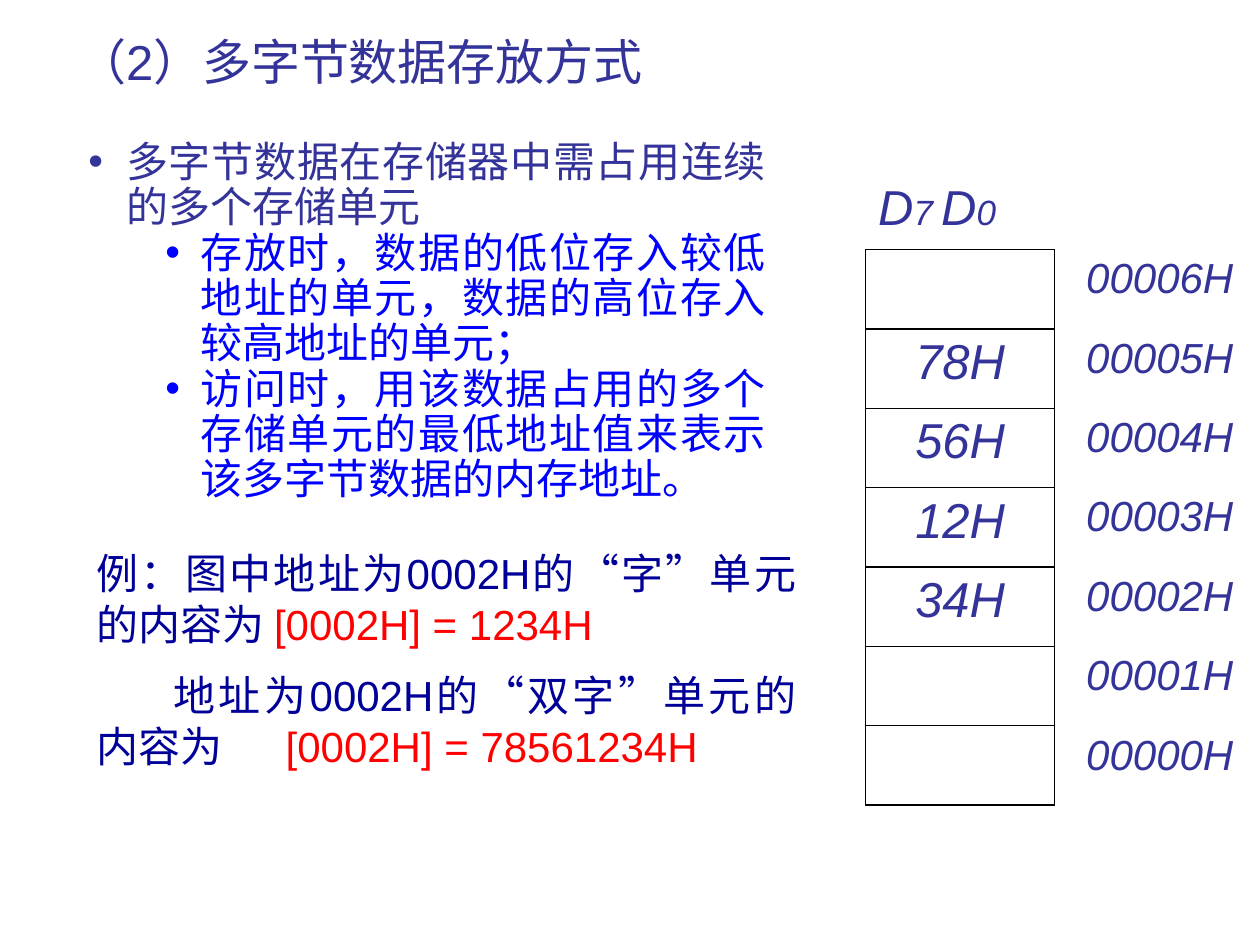
import dataclasses

import lxml.etree
import pptx
import pptx.dml.color
import pptx.enum.text
import pptx.oxml
import pptx.oxml.ns
import pptx.util

Cm = pptx.util.Cm
Pt = pptx.util.Pt
ALIGN = pptx.enum.text.PP_ALIGN
qn = pptx.oxml.ns.qn


@dataclasses.dataclass(frozen=True)
class Theme:
    latin: str = "Arial"
    chinese: str = "Noto Sans CJK SC"
    main: str = "333399"
    detail: str = "0000FF"
    example: str = "000099"
    result: str = "FF0000"
    border: str = "000000"
    large: int = 28
    normal: int = 24
    small: int = 20


theme = Theme()


def add_span(para, text, size, color, italic=False, latin=theme.latin):
    span = para.add_run()
    span.text = text
    span.font.size = Pt(size)
    span.font.bold = False
    span.font.italic = italic
    span.font.color.rgb = pptx.dml.color.RGBColor.from_string(color)
    span.font.name = latin
    east_asian = lxml.etree.SubElement(span.font._element, qn("a:ea"))
    east_asian.set("typeface", theme.chinese)


def add_layout(para, left=0, first=0, bullet=None, tab=None):
    props = para._p.get_or_add_pPr()
    props.set("marL", str(Cm(left)))
    props.set("indent", str(Cm(first)))
    if bullet:
        lxml.etree.SubElement(props, qn("a:buFont")).set("typeface", theme.latin)
        lxml.etree.SubElement(props, qn("a:buChar")).set("char", bullet)
    if tab:
        stops = lxml.etree.SubElement(props, qn("a:tabLst"))
        stop = lxml.etree.SubElement(stops, qn("a:tab"))
        stop.set("pos", str(Cm(tab)))
        stop.set("algn", "l")


deck = pptx.Presentation()
deck.slide_width, deck.slide_height = Cm(25.4), Cm(19.05)
page = deck.slides.add_slide(deck.slide_layouts[1])

# Title
title = page.shapes.title
title.left, title.top, title.width, title.height = Cm(1.3), Cm(0.53), Cm(22.86), Cm(1.4)
title.text_frame.vertical_anchor = pptx.enum.text.MSO_ANCHOR.MIDDLE
title.text_frame.auto_size = pptx.enum.text.MSO_AUTO_SIZE.NONE
para = title.text_frame.paragraphs[0]
para.alignment = ALIGN.LEFT
add_span(para, "（2）多字节数据存放方式", theme.large, theme.main)

# Bulleted rules
body = page.placeholders[1]
body.left, body.top, body.width, body.height = Cm(1.3), Cm(2.72), Cm(14.4), Cm(8.2)
body.text_frame.auto_size = pptx.enum.text.MSO_AUTO_SIZE.NONE
rules = [
    (0, "多字节数据在存储器中需占用连续的多个存储单元"),
    (1, "存放时，数据的低位存入较低地址的单元，数据的高位存入较高地址的单元；"),
    (1, "访问时，用该数据占用的多个存储单元的最低地址值来表示该多字节数据的内存地址。"),
]
levels = [
    (0.99, -0.76, theme.main, theme.latin),
    (2.49, -0.71, theme.detail, theme.chinese),
]
for index, (level, text) in enumerate(rules):
    para = body.text_frame.add_paragraph() if index else body.text_frame.paragraphs[0]
    left, first, color, latin = levels[level]
    para.level = level
    add_layout(para, left, first, bullet="•")
    para.alignment = ALIGN.JUSTIFY
    para.line_spacing = 0.9
    para.space_before = Pt(0)
    add_span(para, text, theme.normal, color, latin=latin)

# Worked examples
box = page.shapes.add_textbox(Cm(1.7), Cm(10.92), Cm(14.6), Cm(5.72))
box.text_frame.word_wrap = True
examples = [
    ("例：图中地址为0002H的“字”单元的内容为 ", "[0002H] = 1234H", 0, None),
    ("地址为0002H的“双字”单元的内容为\t", "[0002H] = 78561234H", 1.55, 3.51),
]
for index, (text, result, first, tab) in enumerate(examples):
    para = box.text_frame.add_paragraph() if index else box.text_frame.paragraphs[0]
    add_layout(para, first=first, tab=tab)
    para.alignment = ALIGN.JUSTIFY
    para.space_before = Pt(12 if index else 0)
    add_span(para, text, theme.normal, theme.example)
    add_span(para, result, theme.normal, theme.result)

# Memory table: contents on the left, addresses on the right
contents = ["", "78H", "56H", "12H", "34H", "", ""]
row_count = len(contents) + 1
frame = page.shapes.add_table(row_count, 2, Cm(17.45), Cm(3.53), Cm(8.05), Cm(12.7))
table = frame.table
table.first_row = table.horz_banding = False
table.columns[0].width, table.columns[1].width = Cm(3.81), Cm(4.24)
for index, row in enumerate(table.rows):
    row.height = Cm(1.6 if index else 1.5)

# Header with the bit numbers
para = table.cell(0, 0).text_frame.paragraphs[0]
add_layout(para, tab=1.95)
for text, size in [("D", theme.large), ("7", theme.small),
                   ("\tD", theme.large), ("0", theme.small)]:
    add_span(para, text, size, theme.main, italic=True)

# Stored bytes and their addresses
for index, content in enumerate(contents, start=1):
    address = f"{len(contents) - index:05d}H"
    for column, (text, size) in enumerate([(content, theme.large), (address, theme.normal)]):
        para = table.cell(index, column).text_frame.paragraphs[0]
        para.alignment = ALIGN.CENTER
        if text:
            add_span(para, text, size, theme.main, italic=True)

# Cell borders: only the memory cells are framed
for index in range(row_count):
    for column in range(2):
        cell = table.cell(index, column)
        if column:
            visible = "L" if index else ""
        else:
            visible = "LRTB" if index else "B"
        props = cell._tc.get_or_add_tcPr()
        for side in "LRTB":
            line = lxml.etree.SubElement(props, qn(f"a:ln{side}"))
            line.set("w", str(Pt(1)))
            if side in visible:
                fill = lxml.etree.SubElement(line, qn("a:solidFill"))
                lxml.etree.SubElement(fill, qn("a:srgbClr")).set("val", theme.border)
            else:
                lxml.etree.SubElement(line, qn("a:noFill"))
        cell.fill.background()

deck.save("out.pptx")
